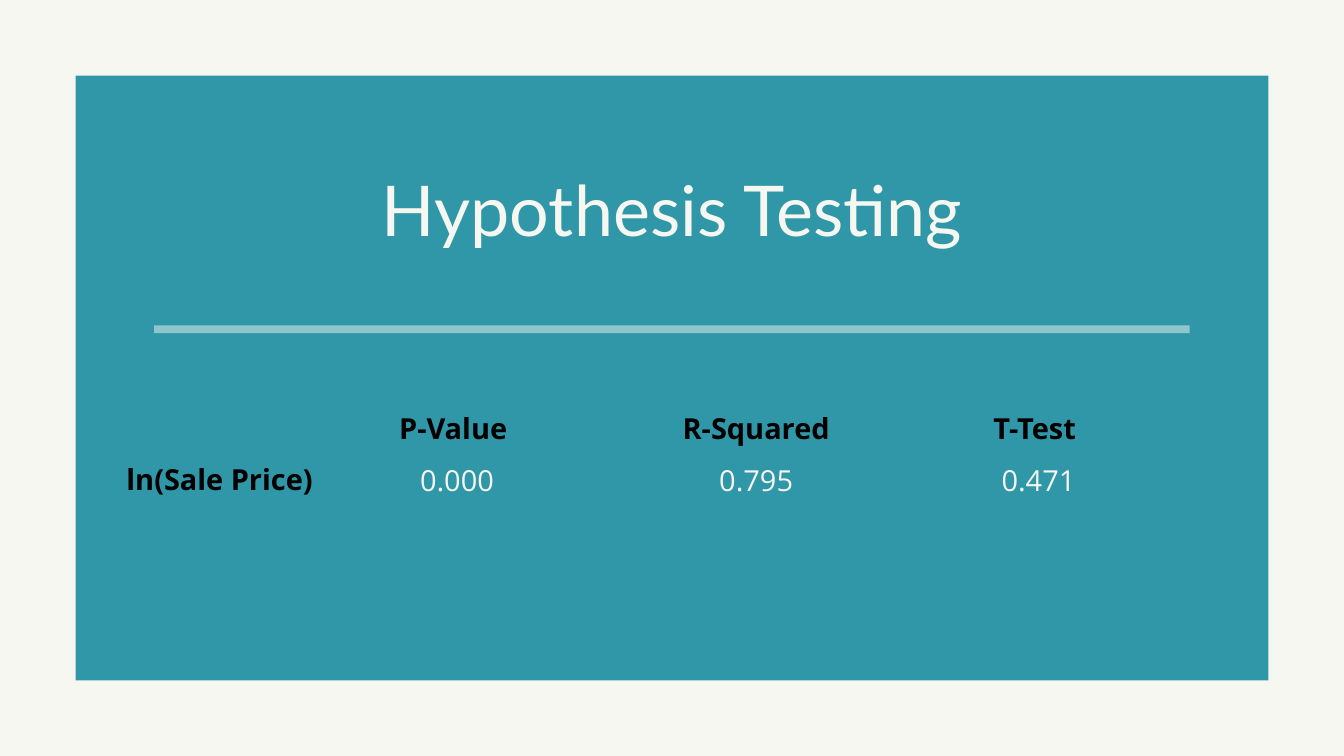
from lxml import etree
from pptx import Presentation
from pptx.dml.color import RGBColor
from pptx.enum.shapes import MSO_SHAPE as Shape
from pptx.enum.text import PP_ALIGN as Align
from pptx.oxml.ns import qn
from pptx.util import Cm, Pt

COLORS = {"paper": "F5F7F0", "teal": "3097A8", "black": "000000"}
TITLE = {"name": "Lato", "size": Pt(75), "color": "paper", "spacing": 1.11}
LABEL = {"name": "Open Sans", "size": Pt(31), "bold": True, "color": "black", "spacing": 1.49}
VALUE = {**LABEL, "bold": False, "color": "paper"}
CELL_WIDTH = 11.48
RESULTS = [
    (8.67, "P-Value ", "0.000"),
    (19.98, "R-Squared", "0.795"),
    (30.65, "T-Test ", "0.471"),
]


def rgb(name):
    return RGBColor.from_string(COLORS[name])


def add_rectangle(slide, box, color, opacity=100):
    shape = slide.shapes.add_shape(Shape.RECTANGLE, *map(Cm, box))
    shape.shadow.inherit = False
    shape.line.fill.background()
    shape.fill.solid()
    shape.fill.fore_color.rgb = rgb(color)
    if opacity < 100:
        color_element = shape.fill._xPr.find(".//" + qn("a:srgbClr"))
        etree.SubElement(color_element, qn("a:alpha"), val=str(opacity * 1000))


def add_text(slide, box, lines):
    frame = slide.shapes.add_textbox(*map(Cm, box)).text_frame
    frame.word_wrap = True
    for side in ("left", "top", "right", "bottom"):
        setattr(frame, f"margin_{side}", 0)
    for index, (text, style) in enumerate(lines):
        paragraph = frame.add_paragraph() if index else frame.paragraphs[0]
        paragraph.alignment = Align.CENTER
        paragraph.line_spacing = style["spacing"]
        run = paragraph.add_run()
        run.text = text
        run.font.color.rgb = rgb(style["color"])
        for key, value in style.items():
            if key not in ("color", "spacing"):
                setattr(run.font, key, value)


def add_heading(slide, box):
    left, top, width, height = box
    add_text(slide, (left + 2.32, top + 3.09, width - 4.64, 3.02),
             [("Hypothesis Testing", TITLE)])
    add_rectangle(slide, (left + 2.97, top + 9.44, width - 5.94, 0.3), "paper", 49)


def add_results(slide, box):
    left, top, width, height = box
    for offset, label, value in RESULTS:
        add_text(slide, (left + offset, top, CELL_WIDTH, height),
                 [(label, LABEL), (value, VALUE)])
    add_text(slide, (left - 0.16, top + 1.93, CELL_WIDTH, height / 2),
             [("ln(Sale Price) ", LABEL)])


def main():
    presentation = Presentation()
    presentation.slide_width, presentation.slide_height = Cm(50.8), Cm(28.58)
    slide = presentation.slides.add_slide(presentation.slide_layouts[6])
    slide.background.fill.solid()
    slide.background.fill.fore_color.rgb = rgb("paper")
    panel = left, top, width, height = 2.86, 2.86, 45.08, 22.86
    add_rectangle(slide, panel, "teal")
    add_heading(slide, panel)
    add_results(slide, (left, top + 12.03, width, 3.9))
    presentation.save("out.pptx")


if __name__ == "__main__":
    main()
